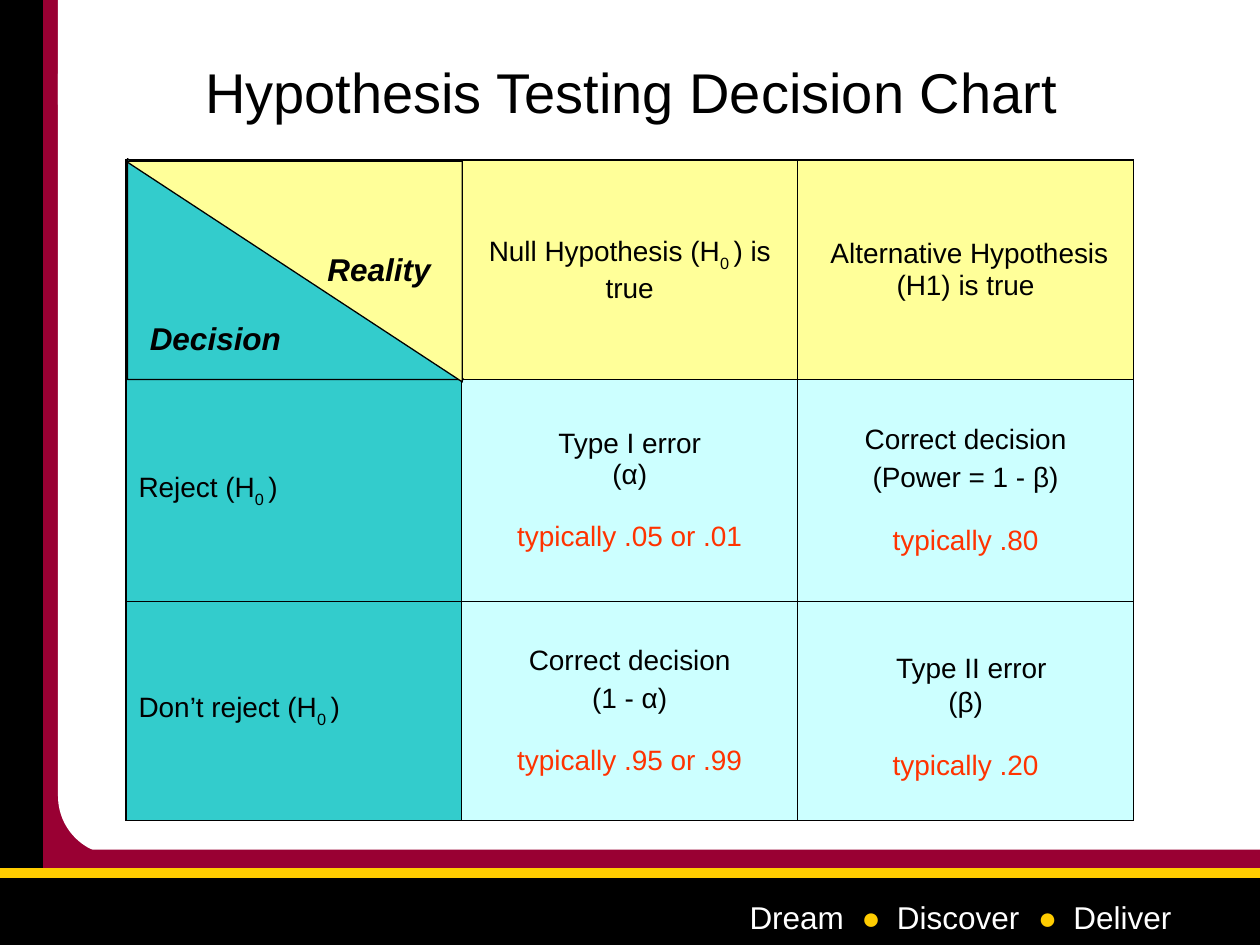
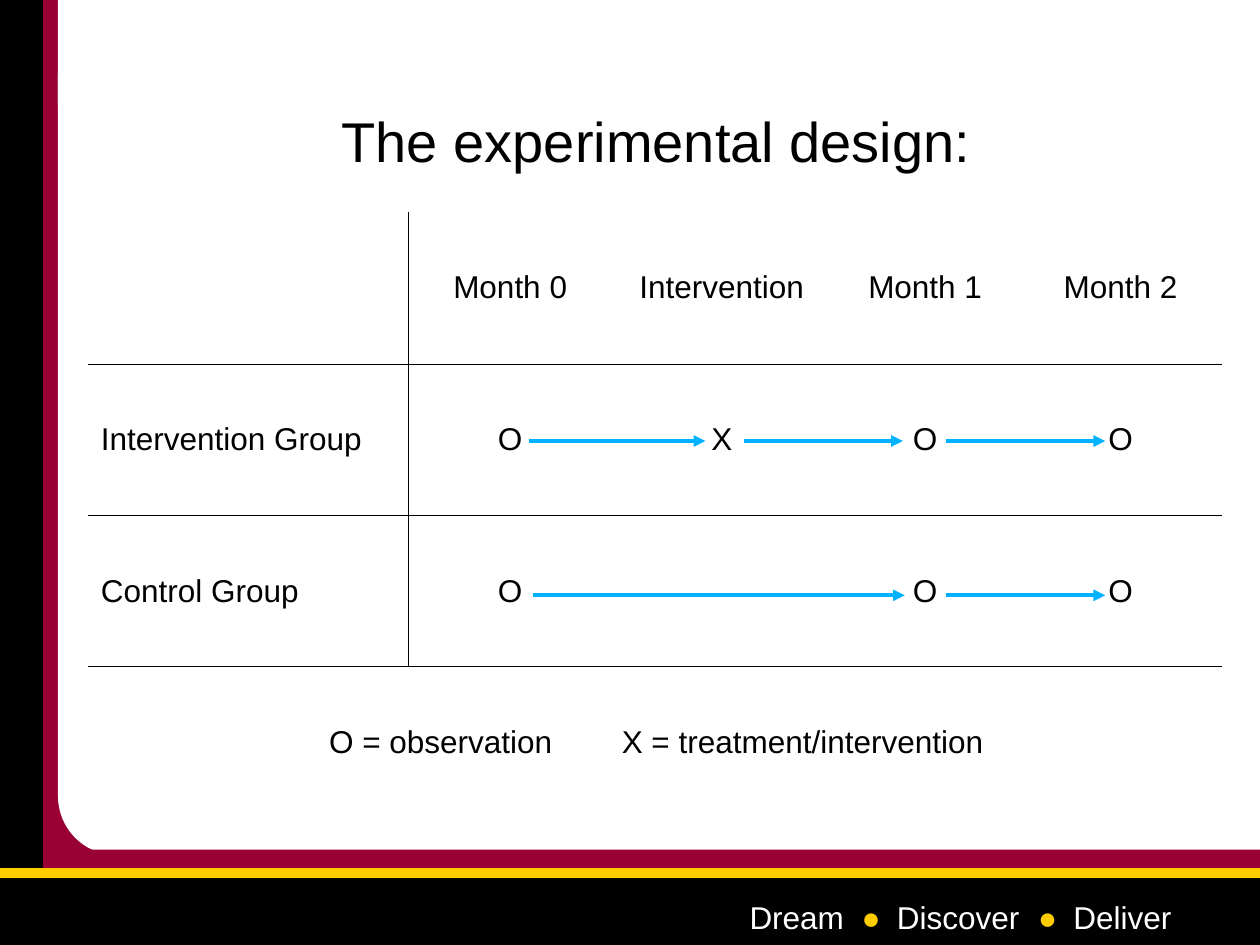
from lxml import etree
from pptx import Presentation
from pptx import util as u
from pptx.dml.color import RGBColor
from pptx.enum import shapes, text
from pptx.oxml import ns

BLACK = RGBColor(0x00, 0x00, 0x00)
WHITE = RGBColor(0xFF, 0xFF, 0xFF)
CRIMSON = RGBColor(0x99, 0x00, 0x33)
GOLD = RGBColor(0xFF, 0xCC, 0x00)
TEAL = RGBColor(0x33, 0xCC, 0xCC)
PALE_YELLOW = RGBColor(0xFF, 0xFF, 0x99)
PALE_CYAN = RGBColor(0xCC, 0xFF, 0xFF)
ORANGE_RED = RGBColor(0xFF, 0x33, 0x00)
SKY_BLUE = RGBColor(0x00, 0xB2, 0xFF)

LEFT, CENTER = text.PP_ALIGN.LEFT, text.PP_ALIGN.CENTER
RECTANGLE = shapes.MSO_SHAPE.RECTANGLE
ROUNDED = shapes.MSO_SHAPE.ROUNDED_RECTANGLE
TRIANGLE = shapes.MSO_SHAPE.RIGHT_TRIANGLE

BODY = {"name": "Arial", "size": u.Pt(18), "color": BLACK}
TITLE = BODY | {"size": u.Pt(32)}
CELL = BODY | {"size": u.Pt(16)}
CORNER = BODY | {"bold": True, "italic": True}
MOTTO = BODY | {"color": WHITE}

SUBSCRIPT = {"baseline": "-30000"}
TYPICAL = {"color": ORANGE_RED}
THIN, THICK = 0.45, 1.08


def cm(*lengths):
    return [u.Cm(length) for length in lengths]


def set_attributes(target, values):
    for name, value in values.items():
        setattr(target, name, value)


def set_font(font, values):
    values = dict(values)
    font.color.rgb = values.pop("color")
    baseline = values.pop("baseline", None)
    set_attributes(font, values)
    if baseline:
        font._element.set("baseline", baseline)


def add_tabs(paragraph, positions):
    tab_list = etree.SubElement(paragraph._p.get_or_add_pPr(), ns.qn("a:tabLst"))
    for position in positions:
        tab = etree.SubElement(tab_list, ns.qn("a:tab"))
        tab.set("pos", str(u.Cm(position)))
        tab.set("algn", "l")


def write_runs(paragraph, runs, style, align=LEFT, tabs=()):
    if tabs:
        add_tabs(paragraph, tabs)
    paragraph.alignment = align
    for words, changes in runs:
        run = paragraph.add_run()
        run.text = words
        set_font(run.font, style | changes)


def add_block(slide, kind, box, fill, line=None):
    shape = slide.shapes.add_shape(kind, *cm(*box))
    shape.shadow.inherit = False
    shape.fill.solid()
    shape.fill.fore_color.rgb = fill
    if line is None:
        shape.line.fill.background()
    else:
        shape.line.color.rgb = line
        shape.line.width = u.Pt(0.75)
    return shape


def add_label(slide, box, runs, style, align=LEFT, tabs=(), **frame_values):
    label = slide.shapes.add_textbox(*cm(*box))
    set_attributes(label.text_frame, {"word_wrap": True} | frame_values)
    write_runs(label.text_frame.paragraphs[0], runs, style, align, tabs)
    return label


def add_title(slide, box, words):
    add_label(slide, box, [(words, {})], TITLE, CENTER,
              vertical_anchor=text.MSO_ANCHOR.MIDDLE)


def add_line(slide, start, end, color, width, arrow=False):
    connector = slide.shapes.add_connector(
        shapes.MSO_CONNECTOR.STRAIGHT, *cm(*start, *end))
    connector.line.color.rgb = color
    connector.line.width = u.Pt(width)
    if arrow:
        tail = etree.SubElement(connector.line._get_or_add_ln(), ns.qn("a:tailEnd"))
        tail.set("type", "triangle")
    etree.SubElement(connector._element.spPr, ns.qn("a:effectLst"))


def set_borders(cell, widths):
    properties = cell._tc.get_or_add_tcPr()
    for side, width in zip("LRTB", widths):
        line = etree.SubElement(properties, ns.qn(f"a:ln{side}"))
        if width:
            line.set("w", str(u.Pt(width)))
            fill = etree.SubElement(line, ns.qn("a:solidFill"))
            etree.SubElement(fill, ns.qn("a:srgbClr")).set("val", str(BLACK))
        else:
            etree.SubElement(line, ns.qn("a:noFill"))


def add_grid(slide, corner, columns, rows, borders, fills):
    frame = slide.shapes.add_table(
        len(rows), len(columns), *cm(*corner, sum(columns), sum(rows)))
    table = frame.table
    set_attributes(table, {"first_row": False, "horz_banding": False})
    for column, width in zip(table.columns, columns):
        column.width = u.Cm(width)
    for row, height in zip(table.rows, rows):
        row.height = u.Cm(height)
    for row in range(len(rows)):
        for column in range(len(columns)):
            cell = table.cell(row, column)
            set_borders(cell, borders(row, column))
            fill = fills(row, column)
            if fill is None:
                cell.fill.background()
            else:
                cell.fill.solid()
                cell.fill.fore_color.rgb = fill
    return table


def fill_cell(cell, paragraphs, style, align=CENTER, tabs=()):
    cell.vertical_anchor = text.MSO_ANCHOR.MIDDLE
    for index, (space, runs) in enumerate(paragraphs):
        frame = cell.text_frame
        paragraph = frame.add_paragraph() if index else frame.paragraphs[0]
        write_runs(paragraph, runs, style, align, tabs)
        paragraph.space_before = u.Pt(space)


def add_frame(slide):
    add_block(slide, RECTANGLE, (0.81, 0, 1.09, 19.05), CRIMSON)
    add_block(slide, RECTANGLE, (2.64, 1.9, 22.76, 17.15), WHITE)
    add_block(slide, RECTANGLE, (0, 0, 0.85, 19.05), BLACK, BLACK)
    add_block(slide, RECTANGLE, (0, 17.68, 25.4, 1.37), BLACK, BLACK)
    add_block(slide, ROUNDED, (1.17, 0.3, 7.14, 16.94), WHITE)
    add_block(slide, RECTANGLE, (1.17, 0, 1.63, 2.11), WHITE)
    add_block(slide, RECTANGLE, (0.87, 17.13, 24.53, 0.57), CRIMSON)
    add_line(slide, (0, 17.6), (25.4, 17.6), GOLD, 6)
    dot = ("\t●", {"color": GOLD})
    add_label(slide, (14.86, 17.98, 10.13, 1.02),
              [("Dream", {}), dot, ("\tDiscover", {}), dot, ("\tDeliver", {})],
              MOTTO, tabs=(2.26, 2.97, 5.82, 6.53))


def decision_borders(row, column):
    return [THICK if outer else THIN
            for outer in (column == 0, column == 2, row == 0, row == 2)]


def decision_fill(row, column):
    if row == 0:
        return PALE_YELLOW if column else None
    return PALE_CYAN if column else TEAL


def null_hypothesis(before, after):
    return [(0, [(before + " (H", {}), ("0 ", SUBSCRIPT), (")" + after, {})])]


def outcome(name, symbol, typical, gap, lead=()):
    return [(0, [*lead, (name, {})]), (gap, [(symbol, {})]),
            (18, [("typically " + typical, TYPICAL)])]


def build_decision_chart(slide):
    add_title(slide, (2.72, 0.51, 20.02, 2.64), "Hypothesis Testing Decision Chart")
    table = add_grid(slide, (2.54, 3.23), [6.77] * 3, [4.42, 4.47, 4.42],
                     decision_borders, decision_fill)
    large_space = ("\u00a0", {"size": u.Pt(24)})
    contents = [
        [None, null_hypothesis("Null Hypothesis", " is true"),
         [(0, [("\u00a0Alternative Hypothesis (H1) is true", {})])]],
        [null_hypothesis("Reject", ""),
         outcome("Type I error", "(α)", ".05 or .01", 0),
         outcome("Correct decision", "(Power = 1 - β)", ".80", 4)],
        [null_hypothesis("Don’t reject", ""),
         outcome("Correct decision", "(1 - α)", ".95 or .99", 4),
         outcome("Type II error", "(β)", ".20", 0, [large_space])],
    ]
    for row, cells in enumerate(contents):
        for column, paragraphs in enumerate(cells):
            if paragraphs:
                fill_cell(table.cell(row, column), paragraphs, CELL,
                          CENTER if column else LEFT)

    add_block(slide, TRIANGLE, (2.57, 3.2, 6.78, 4.45), TEAL, BLACK)
    reality_half = add_block(slide, TRIANGLE, (2.54, 3.25, 6.78, 4.45),
                             PALE_YELLOW, BLACK)
    reality_half.rotation = 180
    decision = add_label(slide, (2.77, 6.3, 3.15, 1.02), [("Decision", {})],
                         CORNER, word_wrap=False)
    decision.fill.solid()
    decision.fill.fore_color.rgb = TEAL
    add_label(slide, (6.35, 4.92, 2.59, 1.02), [("Reality", {})],
              CORNER, word_wrap=False)


def design_borders(row, column):
    rules = (column == 1 and row < 3, column == 0 and row < 3, row > 0, row < 3)
    return [THIN if rule else 0 for rule in rules]


def build_experimental_design(slide):
    table = add_grid(slide, (1.78, 4.27), [6.45, 4.11, 4.42, 3.78, 4.1],
                     [3.07, 3.05, 3.05, 3.07], design_borders,
                     lambda row, column: None)
    contents = [
        ["", "Month 0", "Intervention", "Month 1", "Month 2"],
        ["Intervention Group", "O", "X", "O", "O"],
        ["Control Group", "O", "", "O", "O"],
    ]
    for row, cells in enumerate(contents):
        for column, words in enumerate(cells):
            if words:
                fill_cell(table.cell(row, column), [(0, [(words, {})])], BODY,
                          CENTER if column else LEFT)
    legend = table.cell(3, 0)
    legend.merge(table.cell(3, 4))
    fill_cell(legend, [(0, [("\tO = observation\tX = treatment/intervention", {})])],
              BODY, LEFT, tabs=(4.6, 10.5))

    arrow_spans = {
        8.89: [(10.67, 14.22), (15, 18.2), (19.08, 22.28)],
        12: [(10.74, 18.24), (19.08, 22.28)],
    }
    for y, spans in arrow_spans.items():
        for start, end in spans:
            add_line(slide, (start, y), (end, y), SKY_BLUE, 2.25, arrow=True)
    add_title(slide, (2.44, 1.23, 21.59, 3.18), "The experimental design:")


def main():
    presentation = Presentation()
    set_attributes(presentation, {"slide_width": u.Cm(25.4), "slide_height": u.Cm(19.05)})
    for build in (build_decision_chart, build_experimental_design):
        slide = presentation.slides.add_slide(presentation.slide_layouts[6])
        add_frame(slide)
        build(slide)
    presentation.save("out.pptx")


if __name__ == "__main__":
    main()
